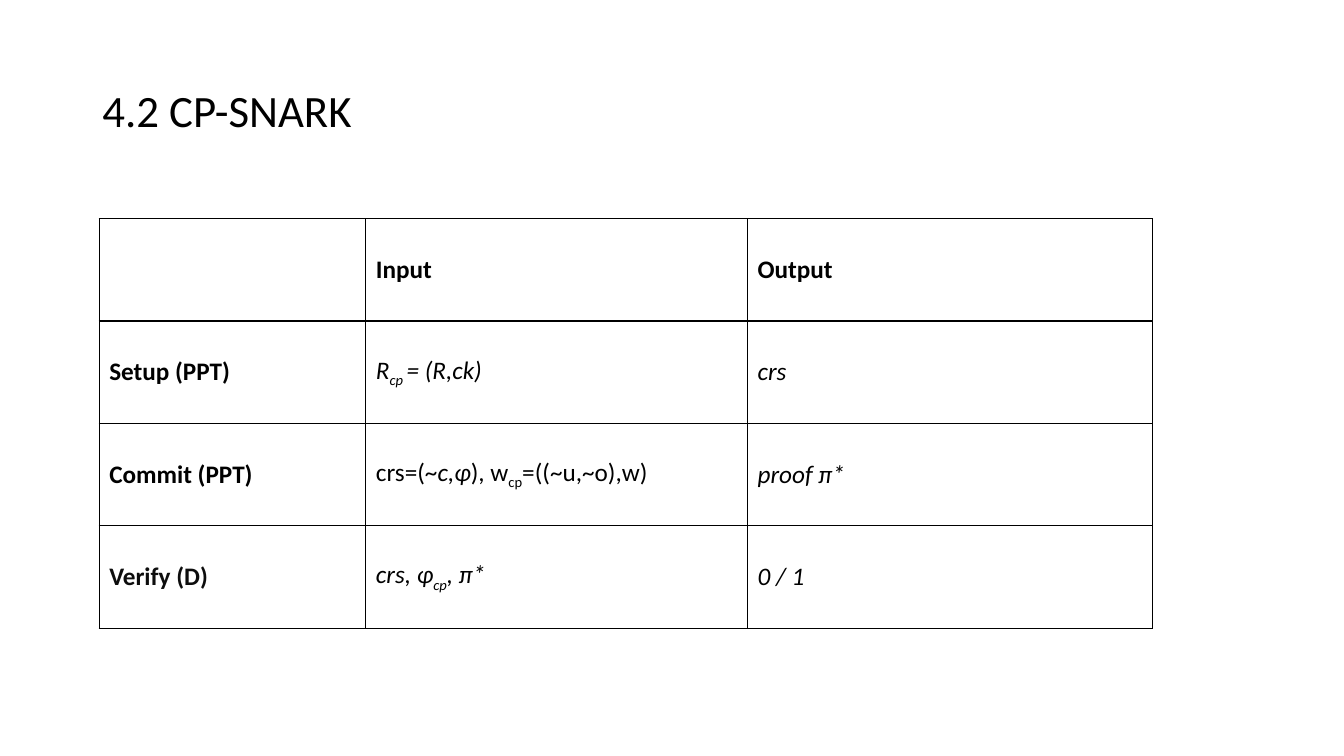
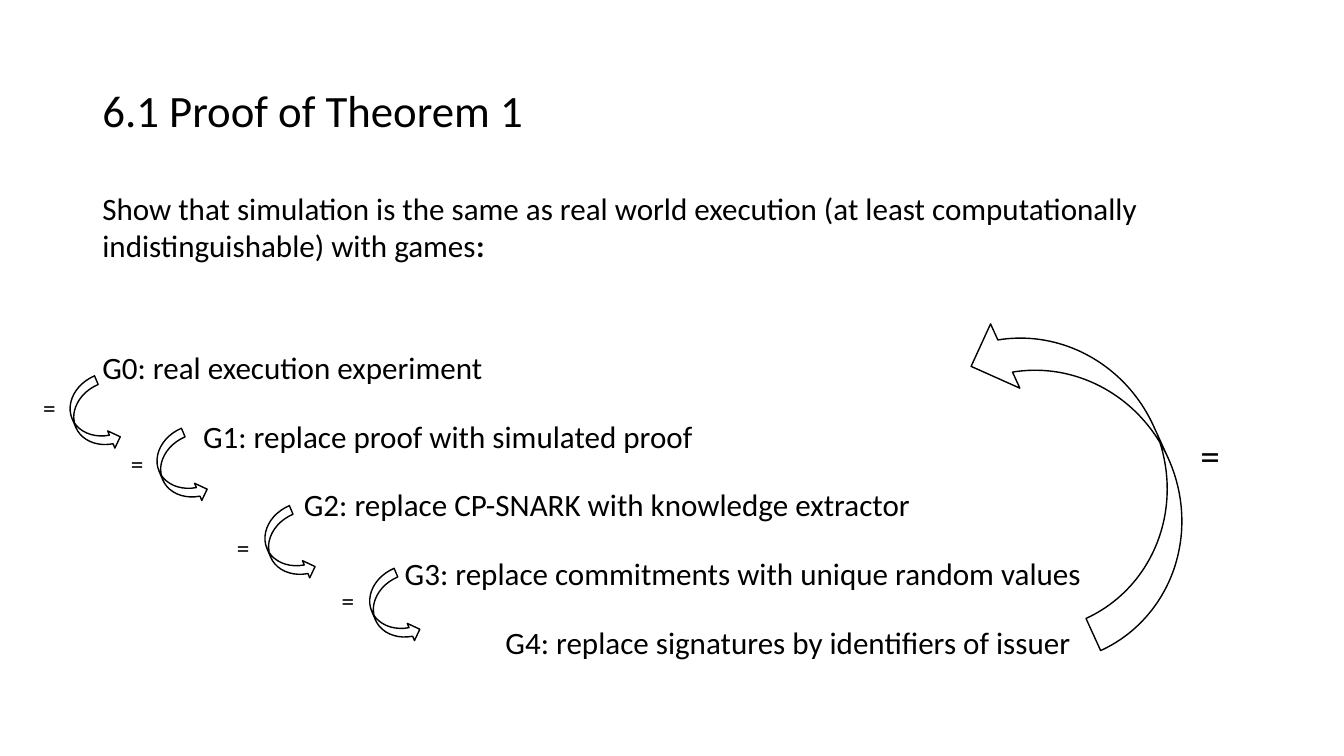
from dataclasses import dataclass

from lxml.etree import SubElement
from pptx import Presentation
from pptx.dml.color import RGBColor
from pptx.enum.shapes import MSO_SHAPE as Shape
from pptx.enum.text import MSO_ANCHOR as Anchor, MSO_AUTO_SIZE as AutoSize
from pptx.oxml.ns import qn
from pptx.util import Cm, Pt


@dataclass(frozen=True)
class Theme:
    font: str = "Calibri"
    ink: RGBColor = RGBColor(0, 0, 0)
    title: Pt = Pt(32)
    body: Pt = Pt(22.2)
    small: Pt = Pt(18)
    large: Pt = Pt(28)
    line: Pt = Pt(1)


THEME = Theme()
BOLD = {"bold": True}
ITALIC = {"italic": True}
SUB = {"baseline": -25000}
SUB_ITALIC = SUB | ITALIC

# Content: each table cell is a list of (text, format) runs
CP_SNARK = [
    [[], [("Input", BOLD)], [("Output", BOLD)]],
    [[("Setup (PPT)", BOLD)],
     [("R", ITALIC), ("cp ", SUB_ITALIC), ("= (R,ck)", ITALIC)],
     [("crs", ITALIC)]],
    [[("Commit (PPT)", BOLD)],
     [("crs=(~", {}), ("c,φ", ITALIC), ("), w", {}), ("cp", SUB), ("=((~u,~o),w)", {})],
     [("proof π*", ITALIC)]],
    [[("Verify (D)", BOLD | {"color": RGBColor(0x0D, 0x0D, 0x0D)})],
     [("crs, φ", ITALIC), ("cp", SUB_ITALIC), (", π*", ITALIC)],
     [("0 / 1", ITALIC)]],
]
CLAIM = [("Show that simulation is the same as real world execution "
          "(at least computationally indistinguishable) with games", {}), (":", BOLD)]
GAMES = [
    "G0: real execution experiment",
    "G1: replace proof with simulated proof",
    "G2: replace CP-SNARK with knowledge extractor",
    "G3: replace commitments with unique random values",
    "G4: replace signatures by identifiers of issuer",
]
# Left and top of each step arrow, then of its equals sign
STEPS = [
    ((1.85, 9.58), (0.84, 9.75)),
    ((4.04, 10.9), (3.05, 11.18)),
    ((6.76, 12.85), (5.72, 13.28)),
    ((9.4, 14.43), (8.36, 14.63)),
]


def set_formats(target, formats):
    for name, value in formats.items():
        setattr(target, name, value)


def write_runs(paragraph, runs, size, **formats):
    set_formats(paragraph, formats)
    for text, style in runs:
        run = paragraph.add_run()
        run.text = text
        style = {"name": THEME.font, "size": size, "color": THEME.ink} | style
        run.font.color.rgb = style.pop("color")
        baseline = style.pop("baseline", None)
        if baseline:
            run.font._element.set("baseline", str(baseline))
        set_formats(run.font, style)


def add_frame(slide, left, top, width, height, **formats):
    frame = slide.shapes.add_textbox(Cm(left), Cm(top), Cm(width), Cm(height)).text_frame
    set_formats(frame, {"word_wrap": True, "auto_size": AutoSize.NONE} | formats)
    return frame


def add_titled_slide(deck, title):
    slide = deck.slides.add_slide(deck.slide_layouts[6])
    frame = add_frame(slide, 2.33, 1.02, 29.21, 3.68, vertical_anchor=Anchor.MIDDLE)
    write_runs(frame.paragraphs[0], [(title, {})], THEME.title, line_spacing=0.9)
    return slide


def add_equals(slide, left, top, height, size):
    frame = add_frame(slide, left, top, 1.88, height)
    write_runs(frame.paragraphs[0], [("=", {})], size)


def add_curved_arrow(slide, left, top, width, height, rotation):
    arrow = slide.shapes.add_shape(
        Shape.CURVED_RIGHT_ARROW, Cm(left), Cm(top), Cm(width), Cm(height))
    arrow.rotation = rotation
    arrow.shadow.inherit = False
    arrow.fill.background()
    arrow.line.color.rgb = THEME.ink
    arrow.line.width = THEME.line


def add_borders(cell):
    properties = cell._tc.get_or_add_tcPr()
    for side in ("a:lnL", "a:lnR", "a:lnT", "a:lnB"):
        border = SubElement(properties, qn(side), w=str(THEME.line))
        fill = SubElement(border, qn("a:solidFill"))
        SubElement(fill, qn("a:srgbClr"), val=str(THEME.ink))


def add_grid(slide, rows, left, top, widths, row_height):
    table = slide.shapes.add_table(
        len(rows), len(widths), Cm(left), Cm(top),
        Cm(sum(widths)), Cm(row_height * len(rows))).table
    set_formats(table, {"first_row": False, "horz_banding": False})
    for column, width in zip(table.columns, widths):
        column.width = Cm(width)
    for r, row in enumerate(rows):
        for c, runs in enumerate(row):
            cell = table.cell(r, c)
            cell.vertical_anchor = Anchor.MIDDLE
            add_borders(cell)
            cell.fill.background()
            write_runs(cell.text_frame.paragraphs[0], runs, THEME.small)


def add_games(slide):
    frame = add_frame(slide, 2.33, 4.7, 29.21, 12.67)
    write_runs(frame.paragraphs[0], CLAIM, THEME.body, line_spacing=0.98)
    for level, game in enumerate(GAMES):
        paragraph = frame.add_paragraph()
        gap = Pt(9.2) if level else Pt(46.5)
        write_runs(paragraph, [(game, {})], THEME.body, line_spacing=1.5, space_before=gap)
        # Each game starts one step further right
        paragraph._p.get_or_add_pPr().set("marL", str(Cm(2.54 * level)))


def main():
    deck = Presentation()
    set_formats(deck, {"slide_width": Cm(33.87), "slide_height": Cm(19.05)})

    # Algorithms with their inputs and outputs
    snark = add_titled_slide(deck, "4.2 CP-SNARK")
    add_grid(snark, CP_SNARK, 2.5, 5.51, [6.72, 9.62, 10.2], 2.58)

    # Chain of games, closed by the large arrow
    proof = add_titled_slide(deck, "6.1 Proof of Theorem 1")
    add_games(proof)
    for arrow_at, equals_at in STEPS:
        add_curved_arrow(proof, *arrow_at, 0.94, 1.9, 337.1)
        add_equals(proof, *equals_at, 1.02, THEME.small)
    add_curved_arrow(proof, 25.76, 7.29, 3.56, 8.76, 155.5)
    add_equals(proof, 30, 10.74, 1.45, THEME.large)

    deck.save("out.pptx")


if __name__ == "__main__":
    main()
